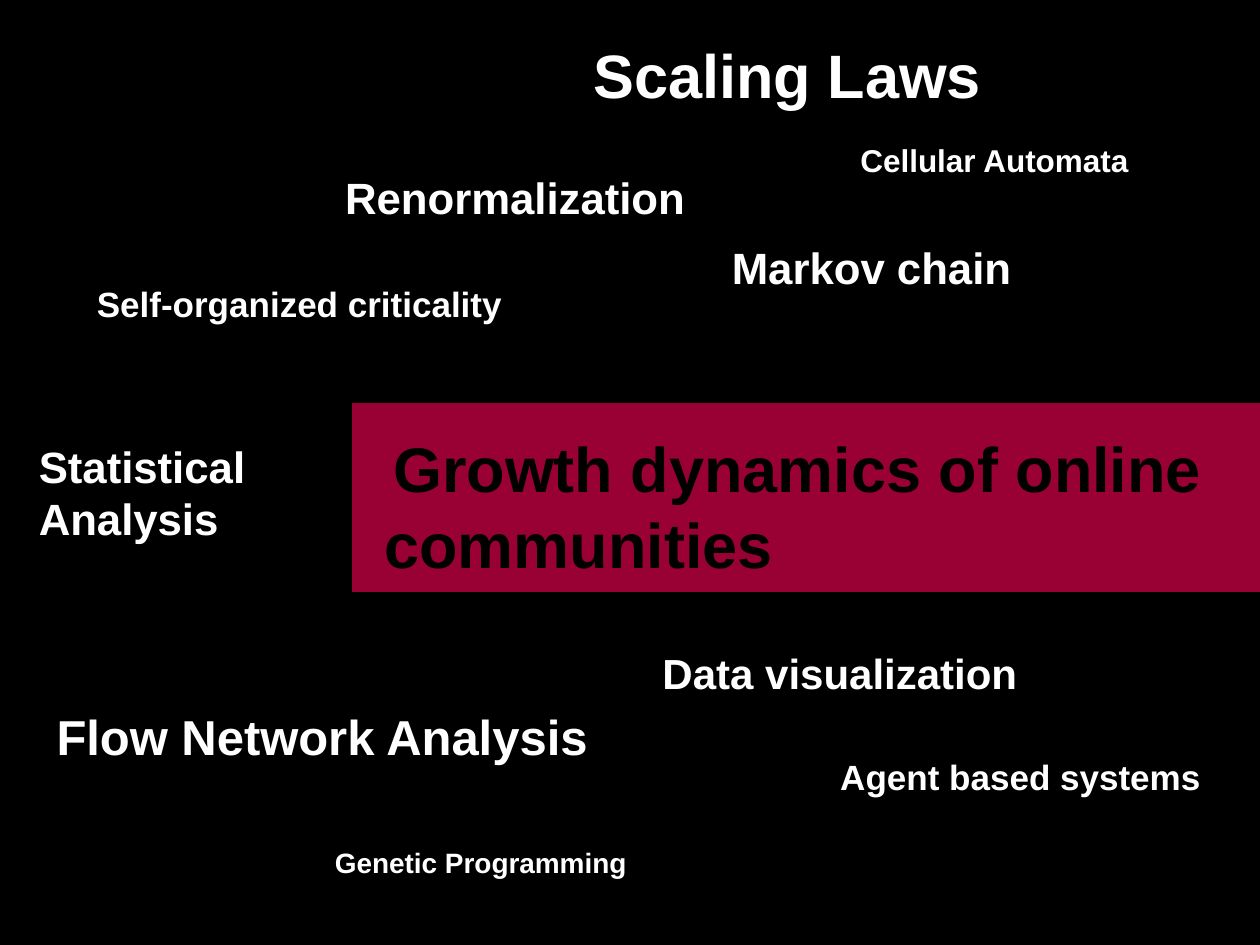
import pptx
import pptx.dml.color
import pptx.enum.shapes
import pptx.enum.text
import pptx.util
from pptx.util import Inches

THEME = {
    "font": "Arial",
    "backdrop": "000000",
    "band": "990033",
    "topic": "FFFFFF",
    "title": "000000",
    "title_size": 36,
    "sizes": {"huge": 35, "large": 28, "big": 25, "medium": 24,
              "small": 20, "smaller": 18, "tiny": 16},
}


def rgb(name):
    return pptx.dml.color.RGBColor.from_string(THEME[name])


def write(sp, text, size, color):
    """Put bold, left-aligned, wrapped text into a shape."""
    tf = sp.text_frame
    tf.word_wrap = True
    tf.auto_size = pptx.enum.text.MSO_AUTO_SIZE.NONE
    tf.vertical_anchor = pptx.enum.text.MSO_ANCHOR.TOP
    p = tf.paragraphs[0]
    p.alignment = pptx.enum.text.PP_ALIGN.LEFT
    r = p.add_run()
    r.text = text
    r.font.name = THEME["font"]
    r.font.size = pptx.util.Pt(size)
    r.font.bold = True
    r.font.color.rgb = rgb(color)
    return p


prs = pptx.Presentation()
prs.slide_width, prs.slide_height = Inches(10), Inches(7.5)
s = prs.slides.add_slide(prs.slide_layouts[5])

# Black backdrop and the red band behind the title
for fill, box in (("backdrop", (0, 0, 10, 7.53)), ("band", (2.8, 3.2, 7.2, 1.49))):
    sp = s.shapes.add_shape(pptx.enum.shapes.MSO_SHAPE.RECTANGLE, *map(Inches, box))
    sp.shadow.inherit = False
    sp.fill.solid()
    sp.fill.fore_color.rgb = rgb(fill)
    sp.line.color.rgb = rgb(fill)
    sp.line.width = pptx.util.Pt(0.75)

# Topic cloud: text, size, left, top, width, height
topics = [
    ("Scaling Laws", "huge", 4.61, 0.25, 3.31, 0.69),
    ("Cellular Automata", "smaller", 6.73, 1.07, 3.07, 0.4),
    ("Renormalization", "big", 2.64, 1.31, 3.78, 0.52),
    ("Markov chain", "big", 5.71, 1.86, 3.19, 0.52),
    ("Self-organized criticality", "small", 0.67, 2.19, 3.78, 0.44),
    ("Statistical Analysis", "big", 0.21, 3.44, 2.2, 0.94),
    ("Data visualization", "medium", 5.16, 5.09, 3.7, 0.5),
    ("Flow Network Analysis", "large", 0.35, 5.56, 5.28, 0.57),
    ("Agent based systems", "small", 6.57, 5.95, 3.15, 0.44),
    ("Genetic Programming", "tiny", 2.56, 6.66, 3.08, 0.37),
]
for text, size, *box in topics:
    sp = s.shapes.add_textbox(*map(Inches, box))
    write(sp, text, THEME["sizes"][size], "topic")

# Title, brought in front of the band, with a slight first-line indent
title = s.shapes.title
title.left, title.top, title.width, title.height = map(Inches, (2.95, 3.36, 6.77, 1.31))
p = write(title, "Growth dynamics of online communities", THEME["title_size"], "title")
p._p.get_or_add_pPr().set("indent", str(Inches(0.07)))
s.shapes._spTree.append(title._element)

prs.save("out.pptx")
